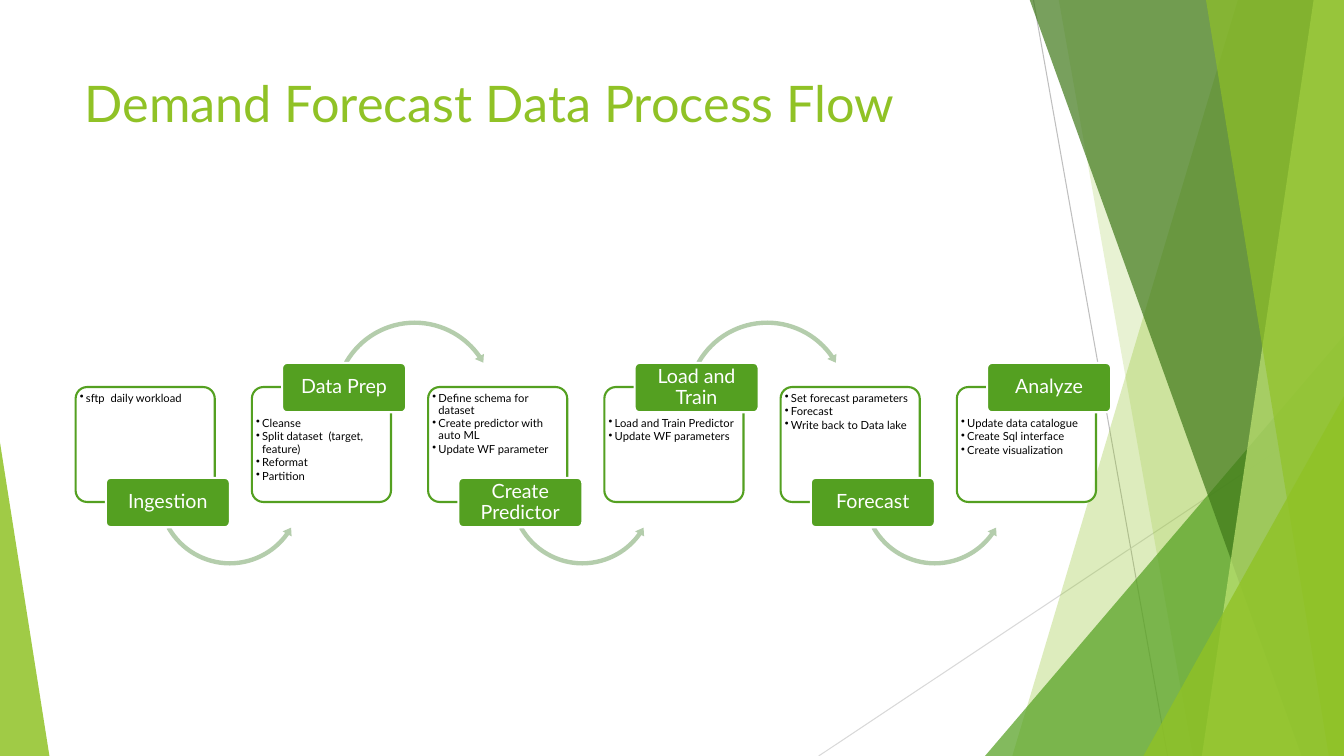
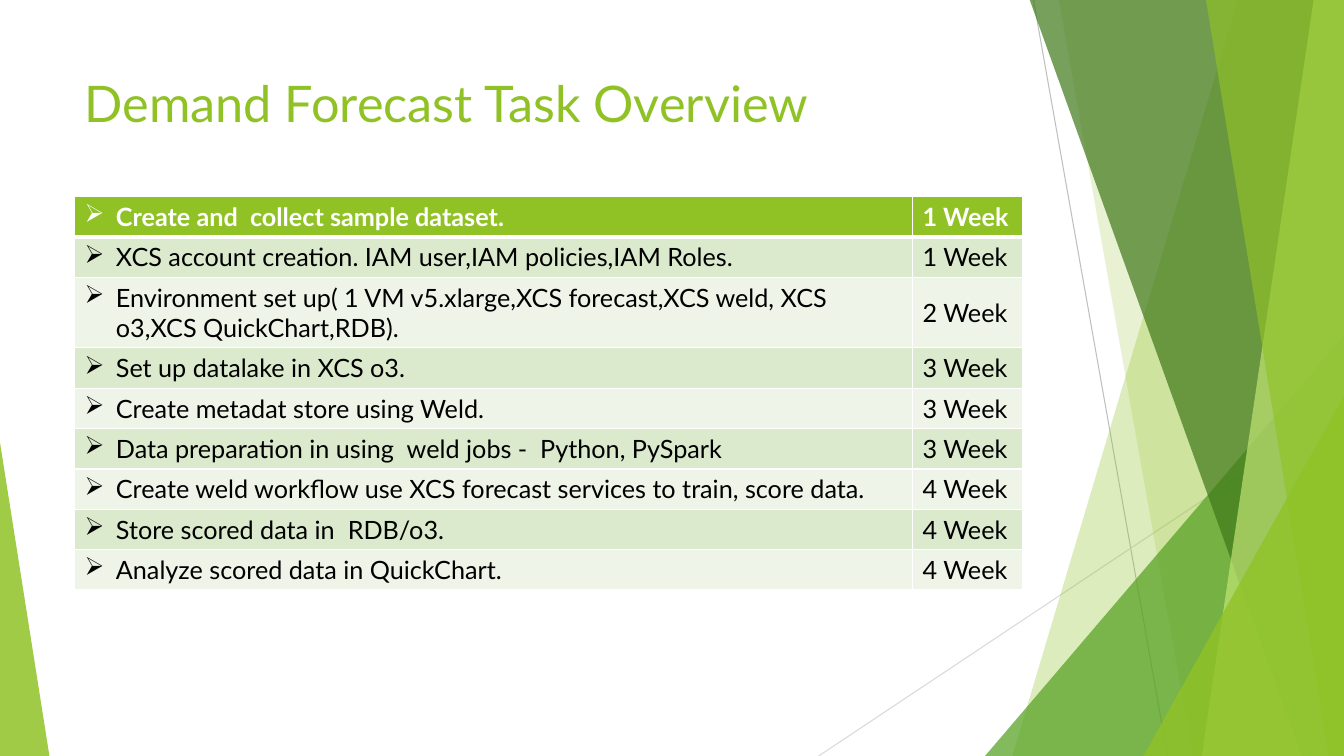
from dataclasses import dataclass

from lxml import etree
from pptx import Presentation
from pptx.dml.color import RGBColor
from pptx.enum.shapes import MSO_CONNECTOR, MSO_SHAPE
from pptx.enum.text import MSO_ANCHOR, PP_ALIGN
from pptx.oxml.ns import qn
from pptx.util import Inches, Pt

FLOW_TITLE = "Demand Forecast Data Process Flow"
STAGES = [
    ("Ingestion", ["sftp  daily workload"]),
    ("Data Prep", ["Cleanse", "Split dataset  (target, feature)", "Reformat", "Partition"]),
    ("Create Predictor", ["Define schema for dataset", "Create predictor with auto ML",
                          "Update WF parameter"]),
    ("Load and Train", ["Load and Train Predictor", "Update WF parameters"]),
    ("Forecast", ["Set forecast parameters", "Forecast", "Write back to Data lake"]),
    ("Analyze", ["Update data catalogue", "Create Sql interface", "Create visualization"]),
]
TASKS_TITLE = "Demand Forecast Task Overview"
TASKS = [
    ("Create and\u00a0 collect sample dataset.", "1 Week"),
    ("XCS account creation. IAM user,IAM policies,IAM Roles.", "1 Week"),
    ("Environment set up( 1 VM v5.xlarge,XCS forecast,XCS weld, XCS o3,XCS QuickChart,RDB).",
     "2 Week"),
    ("Set up datalake in XCS o3.", "3 Week"),
    ("Create metadat store using Weld.", "3 Week"),
    ("Data preparation in using\u00a0 weld jobs -\u00a0 Python, PySpark", "3 Week"),
    ("Create weld workflow use XCS forecast services to train, score data.", "4 Week"),
    ("Store scored data in\u00a0 RDB/o3.", "4 Week"),
    ("Analyze scored data in QuickChart.", "4 Week"),
]
TALL_TASK_ROW = 2


@dataclass(frozen=True)
class Theme:
    font: str = "Lato"
    lime: str = "90C226"
    green: str = "54A021"
    forest: str = "3F7819"
    pale_lime: str = "C0E474"
    sage: str = "B4CDAC"
    band_dark: str = "DBE9CD"
    band_light: str = "EEF4E8"
    white: str = "FFFFFF"
    black: str = "000000"
    title_size: int = 36
    table_size: int = 18
    label_size: int = 14
    card_size: int = 8


T = Theme()
WIDTH, HEIGHT = 13.33, 7.5
RAYS = [((10.25, 0), (11.58, HEIGHT), "BFBFBF"), ((WIDTH, 4.03), (8.12, HEIGHT), "D9D9D9")]
FACETS = [
    ("band", (12.28, 10.04), T.lime, 30),
    ("band", (10.5, 11.83), T.lime, 20),
    ("triangle", (9.77, 3.33, 3.56, 4.17, 1), T.green, 72),
    ("band", (10.21, 12.91), T.forest, 70),
    ("band", (13.03, 11.92), T.pale_lime, 70),
    ("band", (11.96, 13.18), T.lime, 65),
    ("triangle", (11.34, 3.93, 1.99, 3.57, 1), T.lime, 80),
    ("triangle", (0, 4.39, 0.49, 3.11, 0), T.lime, 85),
]


def rgb(value):
    return RGBColor.from_string(value)


def paint(shape, color, opacity=100, outline=None):
    shape.shadow.inherit = False
    shape.fill.solid()
    shape.fill.fore_color.rgb = rgb(color)
    if opacity < 100:
        tint = shape.element.xpath("./p:spPr/a:solidFill/a:srgbClr")[0]
        etree.SubElement(tint, qn("a:alpha"), val=str(opacity * 1000))
    if outline:
        shape.line.color.rgb = rgb(outline)
        shape.line.width = Pt(1.5)
    else:
        shape.line.fill.background()


def add_preset(slide, kind, x, y, w, h, adjustments):
    shape = slide.shapes.add_shape(kind, Inches(x), Inches(y), Inches(w), Inches(h))
    for index, value in enumerate(adjustments):
        shape.adjustments[index] = value
    return shape


def write(paragraph, text, size, color, bold=False, align=PP_ALIGN.LEFT):
    paragraph.alignment = align
    run = paragraph.add_run()
    run.text = text
    run.font.name = T.font
    run.font.size = Pt(size)
    run.font.bold = bold
    run.font.color.rgb = rgb(color)


def add_bullet(paragraph, char, indent):
    props = paragraph._p.get_or_add_pPr()
    props.set("marL", str(Inches(indent)))
    props.set("indent", str(-Inches(indent)))
    etree.SubElement(props, qn("a:buChar"), char=char)


def set_frame(frame, anchor, left, top, right, bottom):
    frame.word_wrap = True
    frame.vertical_anchor = anchor
    frame.margin_left, frame.margin_top = Inches(left), Inches(top)
    frame.margin_right, frame.margin_bottom = Inches(right), Inches(bottom)


def add_ray(slide, start, end, color):
    ray = slide.shapes.add_connector(
        MSO_CONNECTOR.STRAIGHT, *(Inches(value) for value in start + end))
    ray.line.color.rgb = rgb(color)
    ray.line.width = Pt(0.75)
    etree.SubElement(ray.element.spPr, qn("a:effectLst"))
    return ray


def add_facet(slide, kind, geometry, color, opacity):
    if kind == "band":
        top_x, bottom_x = geometry
        corners = [(top_x, -0.01), (WIDTH, -0.01), (WIDTH, HEIGHT), (bottom_x, HEIGHT)]
        points = [(Inches(x), Inches(y)) for x, y in corners]
        builder = slide.shapes.build_freeform(*points[0])
        builder.add_line_segments(points[1:], close=True)
        facet = builder.convert_to_shape()
    else:
        x, y, w, h, apex = geometry
        facet = add_preset(slide, MSO_SHAPE.ISOSCELES_TRIANGLE, x, y, w, h, [apex])
    paint(facet, color, opacity)
    return facet


def decorate_layout(layout, slide):
    decor = [add_ray(slide, *ray) for ray in RAYS]
    decor += [add_facet(slide, *facet) for facet in FACETS]
    for number, shape in enumerate(decor, start=100):
        shape.element.xpath(".//p:cNvPr")[0].set("id", str(number))
        layout.shapes.element.append(shape.element)


def add_titled_slide(deck, layout, title):
    slide = deck.slides.add_slide(layout)
    write(slide.shapes.title.text_frame.paragraphs[0], title, T.title_size, T.lime)
    return slide


def add_card(slide, x, items, text_top):
    card = add_preset(slide, MSO_SHAPE.ROUNDED_RECTANGLE, x, 3.84, 1.38, 1.14, [0.1])
    paint(card, T.white, 90, T.green)
    frame = card.text_frame
    set_frame(frame, MSO_ANCHOR.TOP, 0.01, text_top, 0.02, 0.02)
    for index, item in enumerate(items):
        paragraph = frame.add_paragraph() if index else frame.paragraphs[0]
        write(paragraph, item, T.card_size, T.black)
        paragraph.line_spacing = 0.9
        paragraph.space_after = Pt(1.2)
        add_bullet(paragraph, "•", 0.06)


def add_arc(slide, x, label_on_top):
    if label_on_top:
        kind, y, size = MSO_SHAPE.CIRCULAR_ARROW, 3.15, 1.67
        adjustments = [0.026, 3.199, 195.046, 125.755, 0.031]
    else:
        kind, y, size = MSO_SHAPE.LEFT_CIRCULAR_ARROW, 4.14, 1.5
        adjustments = [0.029, 3.603, 21.359, 90.245, 0.034]
    paint(add_preset(slide, kind, x, y, size, size, adjustments), T.sage)


def add_label(slide, x, y, text):
    label = add_preset(slide, MSO_SHAPE.ROUNDED_RECTANGLE, x, y, 1.23, 0.49, [0.1])
    paint(label, T.green, outline=T.white)
    set_frame(label.text_frame, MSO_ANCHOR.MIDDLE, 0.03, 0.02, 0.03, 0.02)
    paragraph = label.text_frame.paragraphs[0]
    write(paragraph, text, T.label_size, T.white, align=PP_ALIGN.CENTER)
    paragraph.line_spacing = 0.9


def add_flow(slide):
    first_x, last_x = 0.75, 9.49
    pitch = (last_x - first_x) / (len(STAGES) - 1)
    for index, (name, items) in enumerate(STAGES):
        x = first_x + index * pitch
        label_on_top = index % 2 == 1
        add_card(slide, x, items, 0.27 if label_on_top else 0.02)
        if index < len(STAGES) - 1:
            add_arc(slide, x + 0.78, label_on_top)
        add_label(slide, x + 0.3, 3.6 if label_on_top else 4.74, name)


def set_borders(cell, bottom_width, top_width):
    props = cell._tc.get_or_add_tcPr()
    for side, width in (("L", 1), ("R", 1), ("T", top_width), ("B", bottom_width)):
        line = etree.SubElement(props, qn("a:ln" + side), w=str(Pt(width)))
        fill = etree.SubElement(line, qn("a:solidFill"))
        etree.SubElement(fill, qn("a:srgbClr"), val=T.white)


def add_task_table(slide):
    widths = (8.31, 1.09)
    heights = [0.7 if row == TALL_TASK_ROW else 0.4 for row in range(len(TASKS))]
    table = slide.shapes.add_table(
        len(TASKS), len(widths), Inches(0.74), Inches(1.95),
        Inches(sum(widths)), Inches(sum(heights))).table
    for column, width in zip(table.columns, widths):
        column.width = Inches(width)
    for row, texts in enumerate(TASKS):
        table.rows[row].height = Inches(heights[row])
        header = row == 0
        band = T.lime if header else T.band_dark if row % 2 else T.band_light
        for column, text in enumerate(texts):
            cell = table.cell(row, column)
            set_borders(cell, 3 if header else 1, 3 if row == 1 else 1)
            cell.fill.solid()
            cell.fill.fore_color.rgb = rgb(band)
            cell.vertical_anchor = MSO_ANCHOR.MIDDLE
            paragraph = cell.text_frame.paragraphs[0]
            write(paragraph, text, T.table_size, T.white if header else T.black, header)
            if column == 0:
                add_bullet(paragraph, "➢", 0.31)


deck = Presentation()
deck.slide_width, deck.slide_height = Inches(WIDTH), Inches(HEIGHT)
title_layout = deck.slide_layouts.get_by_name("Title Only")
layout_title = title_layout.placeholders[0]
layout_title.left, layout_title.top = Inches(0.74), Inches(0.67)
layout_title.width, layout_title.height = Inches(9.4), Inches(0.78)
layout_title.text_frame.vertical_anchor = MSO_ANCHOR.TOP

flow_slide = add_titled_slide(deck, title_layout, FLOW_TITLE)
decorate_layout(title_layout, flow_slide)
add_flow(flow_slide)
add_task_table(add_titled_slide(deck, title_layout, TASKS_TITLE))
deck.save("out.pptx")
